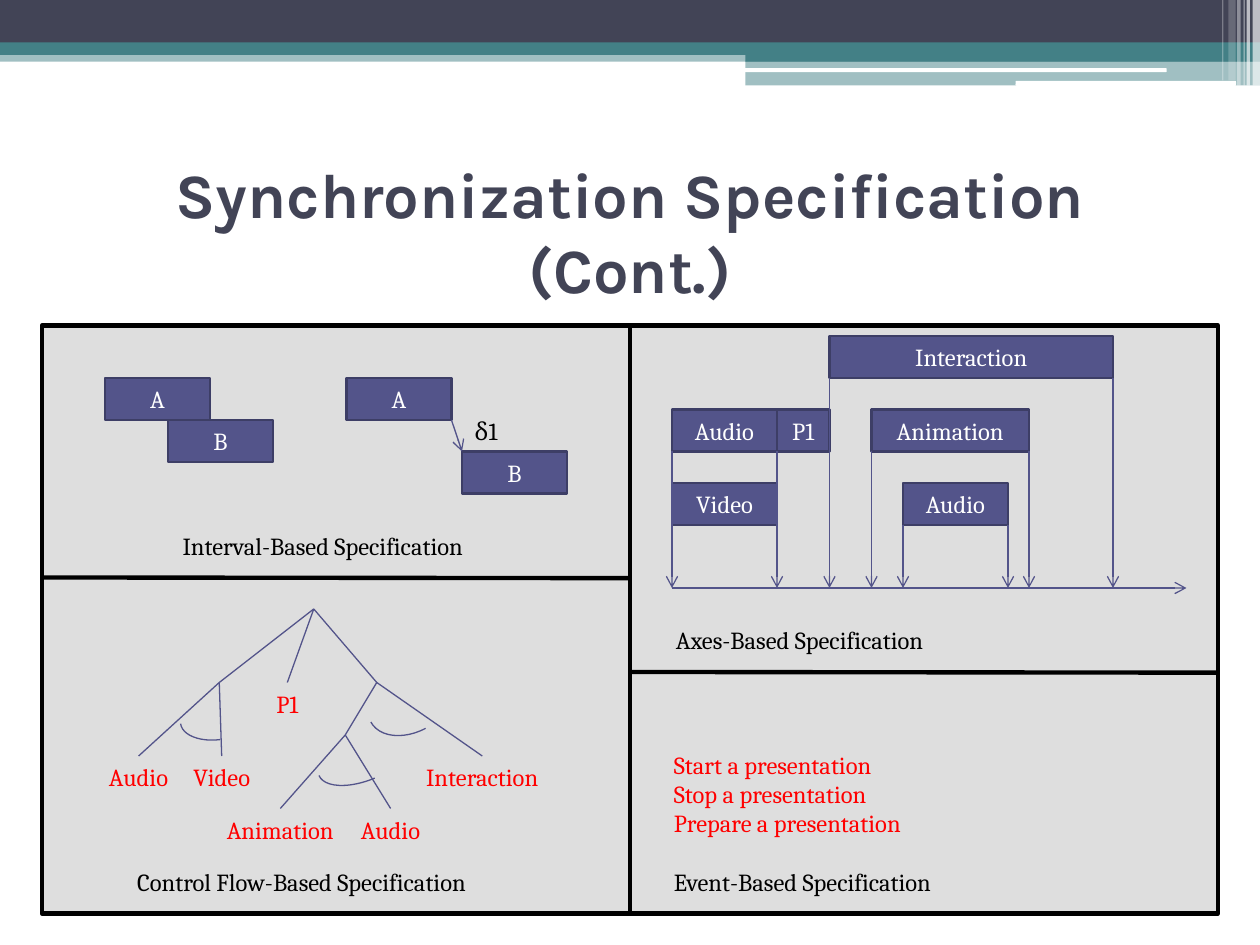
from dataclasses import dataclass
from lxml.etree import SubElement
from pptx import Presentation
from pptx.dml.color import RGBColor
from pptx.enum.shapes import MSO_CONNECTOR as Link, MSO_SHAPE as Kind
from pptx.enum.text import MSO_ANCHOR as Anchor, MSO_AUTO_SIZE as Fit, PP_ALIGN as Align
from pptx.oxml.ns import qn
from pptx.util import Pt


@dataclass(frozen=True)
class Theme:
    navy: str = "424456"
    teal: str = "438086"
    white: str = "FFFFFF"
    black: str = "000000"
    panel: str = "DEDEDE"
    box: str = "53548A"
    edge: str = "3D3E66"
    red: str = "FF0000"
    title_font: str = "Karla"
    body_font: str = "Cambria"
    title_size: int = 36
    body_size: int = 14


THEME = Theme()
BOX_HEIGHT = 24
LABEL_HEIGHT = 24.24
AXIS_Y = 336

# Header: left, top, width, height, colour, opacity in percent
BANDS = [
    (0, 28.8, 720, 6.5, THEME.teal, 50),
    (0, 0, 720, 24.5, THEME.navy, 100),
    (0, 24.2, 720, 7.2, THEME.teal, 100),
    (426, 28.2, 294, 7, THEME.teal, 100),
    (426, 34.6, 294, 14.2, THEME.teal, 50),
]
PILLS = [(425.5, 39, 241.2, 2.2), (580.3, 46.2, 126, 2.8)]
STRIPES = [
    (715.8, 4.2, 49, 65), (712.3, 2, 49, 65), (710.6, 0.7, 49, 60),
    (707, 2, 49, 40), (702, 4.2, 46, 20), (698.4, 0.7, 46, 30),
]

# Boxes: text, left, top, width
INTERVAL_BOXES = [("A", 60, 216, 60), ("B", 96, 240, 60),
                  ("A", 198, 216, 60), ("B", 264, 258, 60)]
AXIS_BOXES = [
    ("Audio", 384, 234, 60), ("Video", 384, 276, 60), ("P1", 444, 234, 30),
    ("Animation", 498, 234, 90), ("Interaction", 474, 192, 162),
    ("Audio", 516, 276, 60),
]

# Tree: named joints, then branches as joint, end point, leaf text
ROOT, LEFT, RIGHT, INNER = (179.3, 348), (125.3, 390), (215.3, 390), (197.3, 420)
BRANCHES = [
    (ROOT, LEFT, None), (LEFT, (79.2, 432), "Audio"), (LEFT, (126.7, 432), "Video"),
    (ROOT, (164.2, 390), "P1"), (ROOT, RIGHT, None), (RIGHT, INNER, None),
    (INNER, (160.2, 462), "Animation"), (INNER, (223.2, 462), "Audio"),
    (RIGHT, (275.6, 432), "Interaction"),
]
# Arcs: left, top, width, height, rotation
ARCS = [(103, 398.9, 42.5, 23.8, 172.6), (180, 418.3, 57.6, 27.4, 157.2),
        (208.8, 382.3, 51.8, 36, 151.8)]

# Captions: text, left, top, width
CAPTIONS = [
    ("δ1", 264, 234, 28), ("Interval-Based Specification", 97.2, 300, 190.8),
    ("Axes-Based Specification", 379.2, 353.5, 170.6),
    ("Event-Based Specification", 378, 492, 177.8),
    ("Control Flow-Based Specification", 71.3, 492, 222.5),
]
EVENTS = ["Start a presentation", "Stop a presentation", "Prepare a presentation"]
DIVIDERS = [((360, 186), (360, 522)), ((24, 330), (360, 330.4)), ((360, 384), (696, 384.4))]


def colour(code):
    return RGBColor.from_string(code)


def write(para, text, color=THEME.black, size=THEME.body_size,
          font=THEME.body_font, bold=False, align=Align.LEFT):
    para.alignment = align
    span = para.add_run()
    span.text = text
    span.font.name, span.font.size, span.font.bold = font, Pt(size), bold
    span.font.color.rgb = colour(color)


def add_box(page, left, top, width, height, fill=None, line=None, weight=0.75,
            opacity=100, kind=Kind.RECTANGLE, text=None):
    box = page.shapes.add_shape(kind, Pt(left), Pt(top), Pt(width), Pt(height))
    box.shadow.inherit = False
    if fill:
        box.fill.solid()
        box.fill.fore_color.rgb = colour(fill)
        if opacity < 100:
            color_node = box.fill._xPr.find(qn("a:solidFill"))[0]
            SubElement(color_node, qn("a:alpha"), val=str(opacity * 1000))
    else:
        box.fill.background()
    if line:
        box.line.color.rgb = colour(line)
        box.line.width = Pt(weight)
    else:
        box.line.fill.background()
    if text:
        frame = box.text_frame
        frame.vertical_anchor = Anchor.MIDDLE
        frame.margin_left = frame.margin_right = 0
        write(frame.paragraphs[0], text, color=THEME.white, align=Align.CENTER)
    return box


def add_line(page, start, end, color=THEME.box, weight=0.75, arrow=False):
    line = page.shapes.add_connector(Link.STRAIGHT, *map(Pt, (*start, *end)))
    line.line.color.rgb = colour(color)
    line.line.width = Pt(weight)
    if arrow:
        SubElement(line.line._get_or_add_ln(), qn("a:tailEnd"), type="arrow")
    SubElement(line._element.spPr, qn("a:effectLst"))


def add_label(page, lines, left, top, width, height=LABEL_HEIGHT, **form):
    label = page.shapes.add_textbox(Pt(left), Pt(top), Pt(width), Pt(height))
    frame = label.text_frame
    frame.word_wrap = False
    frame.auto_size = Fit.SHAPE_TO_FIT_TEXT
    for index, text in enumerate(lines):
        para = frame.add_paragraph() if index else frame.paragraphs[0]
        write(para, text, **form)


def add_named_boxes(page, boxes):
    for text, left, top, width in boxes:
        add_box(page, left, top, width, BOX_HEIGHT, THEME.box, THEME.edge, 1.5, text=text)


def add_header(page):
    for left, top, width, height, fill, opacity in BANDS:
        add_box(page, left, top, width, height, fill, opacity=opacity)
    for pill in PILLS:
        add_box(page, *pill, THEME.white, kind=Kind.ROUNDED_RECTANGLE)
    for left, width, height, opacity in STRIPES:
        add_box(page, left, 0, width, height, THEME.white, opacity=opacity)


def add_title(page, text):
    title = page.shapes.title
    title.left, title.top, title.width, title.height = map(Pt, (36, 90, 648, 84))
    title.text_frame.auto_size = Fit.NONE
    title.text_frame.vertical_anchor = Anchor.MIDDLE
    write(title.text_frame.paragraphs[0], text, color=THEME.navy, size=THEME.title_size,
          font=THEME.title_font, bold=True, align=Align.CENTER)


def add_axis(page):
    add_named_boxes(page, AXIS_BOXES)
    add_line(page, (384, AXIS_Y), (678, AXIS_Y), arrow=True)
    # Each box edge drops to the axis, from the highest box that shares it
    drops = {}
    for _, left, top, width in AXIS_BOXES:
        for x in (left, left + width):
            drops[x] = min(drops.get(x, AXIS_Y), top + BOX_HEIGHT)
    for x, y in drops.items():
        add_line(page, (x, y), (x, AXIS_Y), arrow=True)


def add_tree(page):
    for start, end, leaf in BRANCHES:
        add_line(page, start, end)
        if leaf:
            add_label(page, [leaf], end[0] - 40, end[1], 80,
                      color=THEME.red, align=Align.CENTER)
    for *place, angle in ARCS:
        add_box(page, *place, line=THEME.box, kind=Kind.ARC).rotation = angle


def main():
    deck = Presentation()
    deck.slide_width, deck.slide_height = Pt(720), Pt(540)
    page = deck.slides.add_slide(deck.slide_layouts[5])
    add_header(page)
    add_title(page, "Synchronization Specification (Cont.)")
    # Panel and its four diagrams
    add_box(page, 24, 186, 672, 336, THEME.panel, THEME.black, 2.5)
    add_named_boxes(page, INTERVAL_BOXES)
    add_line(page, (258, 240), (264, 258), arrow=True)
    add_axis(page)
    add_tree(page)
    add_label(page, EVENTS, 378, 424.8, 156.2, 58.3, color=THEME.red)
    for text, *place in CAPTIONS:
        add_label(page, [text], *place)
    for start, end in DIVIDERS:
        add_line(page, start, end, THEME.black, 2.5)
    deck.save("out.pptx")


main()
